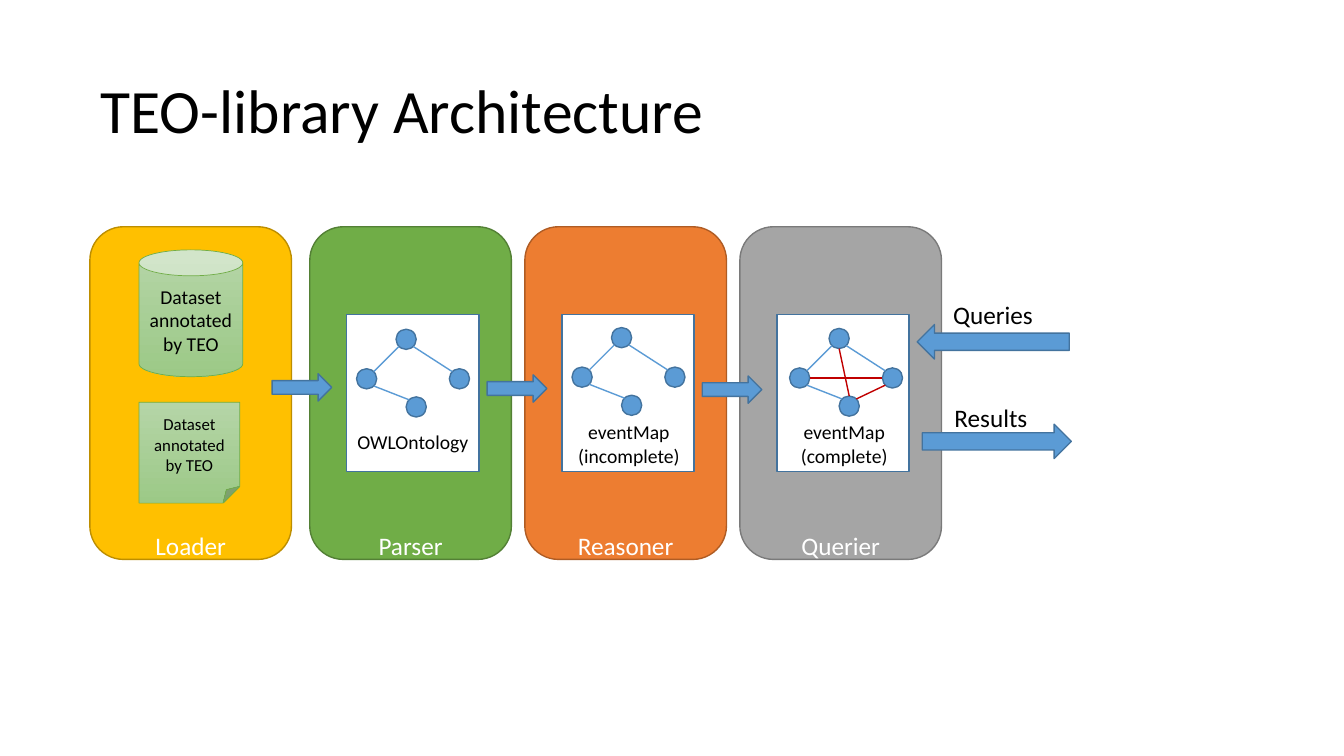
from lxml import etree
from pptx import Presentation
from pptx.dml.color import RGBColor
from pptx.enum.shapes import MSO_CONNECTOR, MSO_SHAPE
from pptx.enum.text import MSO_ANCHOR, PP_ALIGN
from pptx.oxml.ns import qn
from pptx.util import Inches, Pt

COLORS = {
    "loader": "FFC000", "loader_line": "BD8E00",
    "parser": "70AD47", "parser_line": "538035",
    "reasoner": "ED7D31", "reasoner_line": "AF5C24",
    "querier": "A5A5A5", "querier_line": "7A7A7A",
    "blue": "5B9BD5", "blue_line": "43739E", "red": "C00000",
    "light_green": "B5D5A7", "mid_green": "9CC987",
    "white": "FFFFFF", "black": "000000",
}

prs = Presentation()
prs.slide_width, prs.slide_height = Inches(13.33), Inches(7.5)
COL, ROW = prs.slide_width / 160, prs.slide_height / 90
s = prs.slides.add_slide(prs.slide_layouts[5])


def add_shape(kind, x, y, w, h, fill, line, weight=1):
    sp = s.shapes.add_shape(kind, int(x * COL), int(y * ROW), int(w * COL), int(h * ROW))
    sp.shadow.inherit = False
    if fill:
        sp.fill.solid()
        sp.fill.fore_color.rgb = RGBColor.from_string(COLORS[fill])
    sp.line.color.rgb = RGBColor.from_string(COLORS[line])
    sp.line.width = Pt(weight)
    return sp


def write(tf, lines, size, color="black", align=PP_ALIGN.CENTER):
    for i, line in enumerate(lines):
        p = tf.add_paragraph() if i else tf.paragraphs[0]
        p.alignment = align
        r = p.add_run()
        r.text = line
        r.font.name = "Calibri"
        r.font.size = Pt(size)
        r.font.color.rgb = RGBColor.from_string(COLORS[color])


title = s.shapes.title
title.left, title.top = int(10.8 * COL), int(4.8 * ROW)
title.width, title.height = int(127.2 * COL), int(17.4 * ROW)
title.text_frame.vertical_anchor = MSO_ANCHOR.MIDDLE
write(title.text_frame, ["TEO-library Architecture"], 44, align=PP_ALIGN.LEFT)
title.text_frame.paragraphs[0].line_spacing = 0.9

STEP, PARSER_X = 25.6, 36.88
panels = [("Loader", 10.7)] + [
    (name, PARSER_X + STEP * i) for i, name in enumerate(["Parser", "Reasoner", "Querier"])
]
for name, x in panels:
    key = name.lower()
    sp = add_shape(MSO_SHAPE.ROUNDED_RECTANGLE, x, 27, 24, 39.6, key, key + "_line")
    tf = sp.text_frame
    tf.vertical_anchor = MSO_ANCHOR.MIDDLE
    tf.margin_top, tf.margin_bottom = int(36.2 * ROW), 0
    write(tf, [name], 18, "white")

datasets = [
    (MSO_SHAPE.CAN, 29.75, 12.36, 15.1, 14),
    (MSO_SHAPE.FOLDED_CORNER, 47.9, 12, 12, 12),
]
for kind, y, w, h, size in datasets:
    sp = add_shape(kind, 16.55, y, w, h, None, "parser", 0.5)
    sp.fill.gradient()
    sp.fill.gradient_angle = 270
    for stop, color, pos in zip(sp.fill.gradient_stops, ["light_green", "mid_green"], [0, 1]):
        stop.color.rgb = RGBColor.from_string(COLORS[color])
        stop.position = pos
    sp.text_frame.vertical_anchor = MSO_ANCHOR.MIDDLE
    write(sp.text_frame, ["Dataset annotated by TEO"], size)

for i in range(3):
    add_shape(MSO_SHAPE.RIGHT_ARROW, 32.4 + STEP * i, 44.5 + 0.13 * i, 7.1, 3.25, "blue", "blue_line")

NODE = 2.4
DIAG = 0.71
nodes = {"top": (4.7, 0), "left": (0, 4.7), "bottom": (5.9, 8.05), "right": (11.05, 4.7)}
known_edges = [
    ("top", (-DIAG, DIAG), "left", (DIAG, -DIAG), "blue"),
    ("left", (DIAG, DIAG), "bottom", (-DIAG, -DIAG), "blue"),
    ("top", (DIAG, DIAG), "right", (-DIAG, -DIAG), "blue"),
]
inferred_edges = [
    ("left", (1, 0), "right", (-1, 0), "red"),
    ("top", (0, 1), "bottom", (0, -1), "red"),
    ("right", (-DIAG, DIAG), "bottom", (DIAG, -DIAG), "red"),
]
graphs = [
    (42.45, 39.2, known_edges),
    (68.1, 39, known_edges),
    (94, 39.1, known_edges + inferred_edges),
]
for i, (gx, gy, edges) in enumerate(graphs):
    add_shape(MSO_SHAPE.RECTANGLE, PARSER_X + 4.4 + STEP * i, 37.45, 15.75, 18.7, "white", "blue_line")
    for dx, dy in nodes.values():
        add_shape(MSO_SHAPE.OVAL, gx + dx, gy + dy, NODE, NODE, "blue", "blue_line")
    for start, start_side, end, end_side, color in edges:
        ends = []
        for node, side in [(start, start_side), (end, end_side)]:
            ends.append(int((gx + nodes[node][0] + NODE / 2 * (1 + side[0])) * COL))
            ends.append(int((gy + nodes[node][1] + NODE / 2 * (1 + side[1])) * ROW))
        cx = s.shapes.add_connector(MSO_CONNECTOR.STRAIGHT, *ends)
        cx.line.color.rgb = RGBColor.from_string(COLORS[color])
        cx.line.width = Pt(1)
        etree.SubElement(cx._element.spPr, qn("a:effectLst"))

add_shape(MSO_SHAPE.LEFT_ARROW, 109.2, 38.64, 18.1, 4.1, "blue", "blue_line")
add_shape(MSO_SHAPE.RIGHT_ARROW, 109.8, 50.5, 17.75, 4.1, "blue", "blue_line")

labels = [
    (["OWLOntology"], 41.28, 50.64, 15.75, 4.1, 14),
    (["eventMap", "(incomplete)"], 67.56, 49.44, 14.64, 6.8, 14),
    (["eventMap", "(complete)"], 94.08, 49.44, 12.84, 6.8, 14),
    (["Queries"], 112.3, 35.04, 12, 4.8, 18),
    (["Results"], 112.45, 47.28, 11.16, 4.8, 18),
]
for lines, x, y, w, h, size in labels:
    tb = s.shapes.add_textbox(int(x * COL), int(y * ROW), int(w * COL), int(h * ROW))
    tb.text_frame.word_wrap = False
    write(tb.text_frame, lines, size, align=PP_ALIGN.CENTER if size == 14 else PP_ALIGN.LEFT)

prs.save("out.pptx")
